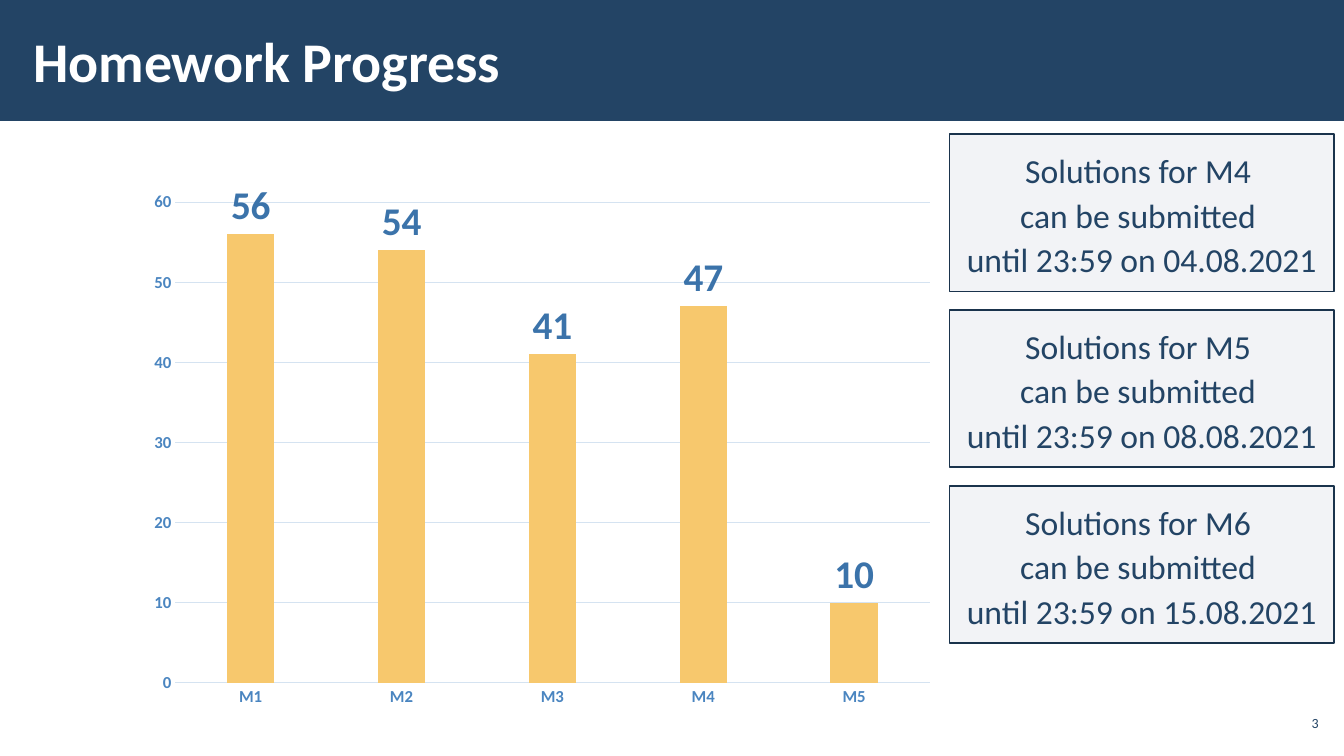
from pptx import Presentation
from pptx import util as u
from pptx.chart.data import CategoryChartData
from pptx.dml.color import RGBColor
from pptx.enum import chart as ch, shapes, text
from pptx.oxml.ns import qn
from lxml import etree

# Content
TITLE = "Homework Progress"
PAGE = "3"
SCORES = {"M1": 56, "M2": 54, "M3": 41, "M4": 47, "M5": 10}
DUE = [("M4", "04.08.2021"), ("M5", "08.08.2021"), ("M6", "15.08.2021")]
NOTE = ["Solutions for {} ", "can be submitted ", "until 23:59 on {}"]

# Look
FONT = "Calibri"
HUES = {"navy": "234465", "white": "FFFFFF", "edge": "1A334C", "card": "ADB4C3",
        "bar": "F7C86D", "axis": "4A85C0", "grid": "D5E3F1", "value": "3B73AA"}
WIDE, HIGH = 13.33, 7.5
BAND = 0.16 * HIGH
CARD_X, CARD_Y, CARD_W, CARD_H, STEP = 9.42, 1.33, 3.81, 1.56, 1.745


def hue(name):
    return RGBColor.from_string(HUES[name])


def style(font, size, name, bold=False):
    font.name, font.size, font.bold = FONT, u.Pt(size), bold
    font.color.rgb = hue(name)


def inches(*box):
    return [u.Inches(n) for n in box]


def block(slide, box, name):
    rect = slide.shapes.add_shape(shapes.MSO_SHAPE.RECTANGLE, *inches(*box))
    rect.shadow.inherit = False
    rect.fill.solid()
    rect.fill.fore_color.rgb = hue(name)
    rect.line.fill.background()
    return rect


def write(shape, lines, size, name, align, pad, bold=False, space=None):
    frame = shape.text_frame
    frame.margin_left = frame.margin_right = u.Inches(pad[0])
    frame.margin_top = frame.margin_bottom = u.Inches(pad[1])
    for i, line in enumerate(lines):
        para = frame.add_paragraph() if i else frame.paragraphs[0]
        para.alignment, para.line_spacing = align, space
        run = para.add_run()
        run.text = line
        style(run.font, size, name, bold)
    return frame


def label(slide, box, *args, **more):
    frame = write(slide.shapes.add_textbox(*inches(*box)), *args, **more)
    frame.word_wrap = True
    frame.vertical_anchor = text.MSO_ANCHOR.MIDDLE


def bars(slide):
    data = CategoryChartData()
    data.categories = list(SCORES)
    data.add_series("Series 1", list(SCORES.values()))
    chart = slide.shapes.add_chart(ch.XL_CHART_TYPE.COLUMN_CLUSTERED,
                                   *inches(1.37, 1.8, 8.01, 5.32), data).chart
    chart.has_legend = chart.has_title = False
    style(chart.font, 10, "navy")

    # Axes
    cat, val = chart.category_axis, chart.value_axis
    for axis in (cat, val):
        axis.major_tick_mark = axis.minor_tick_mark = ch.XL_TICK_MARK.NONE
        style(axis.tick_labels.font, 12, "axis", True)
    val.minimum_scale, val.maximum_scale, val.major_unit = 0, 60, 10
    val.format.line.fill.background()
    for line in (cat.format.line, val.major_gridlines.format.line):
        line.color.rgb, line.width = hue("grid"), u.Pt(0.75)

    # Columns and their values
    plot = chart.plots[0]
    plot.gap_width, plot.overlap, plot.vary_by_categories = 219, -27, False
    fill = plot.series[0].format.fill
    fill.solid()
    fill.fore_color.rgb = hue("bar")
    tags = plot.series[0].data_labels
    tags.show_value = True
    tags.position = ch.XL_LABEL_POSITION.OUTSIDE_END
    style(tags.font, 28, "value", True)


def card(slide, row, task, date):
    rect = block(slide, (CARD_X, CARD_Y + row * STEP, CARD_W, CARD_H), "card")
    tint = rect.fill._xPr.find(".//" + qn("a:srgbClr"))
    etree.SubElement(tint, qn("a:alpha")).set("val", "15000")
    rect.line.color.rgb, rect.line.width = hue("edge"), u.Pt(1)
    lines = [NOTE[0].format(task), NOTE[1], NOTE[2].format(date)]
    frame = write(rect, lines, 24, "navy", text.PP_ALIGN.CENTER, (0.16, 0.12), space=1.1)
    frame.word_wrap = False
    frame.auto_size = text.MSO_AUTO_SIZE.SHAPE_TO_FIT_TEXT
    frame.vertical_anchor = text.MSO_ANCHOR.TOP


def main():
    deck = Presentation()
    deck.slide_width, deck.slide_height = inches(WIDE, HIGH)
    slide = deck.slides.add_slide(deck.slide_layouts[6])

    # Header and page number
    block(slide, (0, 0, WIDE, BAND), "navy")
    label(slide, (0.21, 0.11, 10.4, 0.97), [TITLE], 40, "white",
          text.PP_ALIGN.LEFT, (0.12, 0.04), bold=True)
    label(slide, (12.65, 7, 0.47, 0.34), [PAGE], 10, "navy",
          text.PP_ALIGN.RIGHT, (0.04, 0.04))

    # Chart and deadlines
    bars(slide)
    for row, (task, date) in enumerate(DUE):
        card(slide, row, task, date)
    deck.save("out.pptx")


if __name__ == "__main__":
    main()
